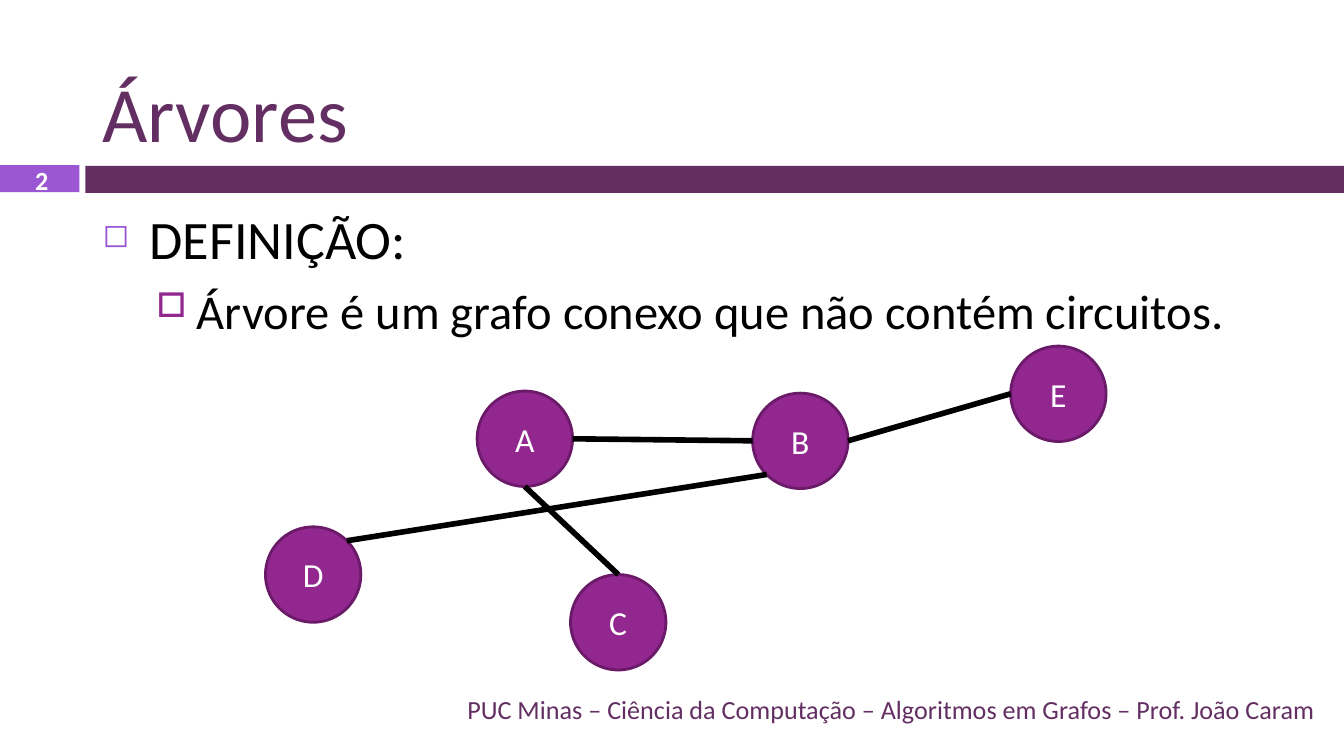
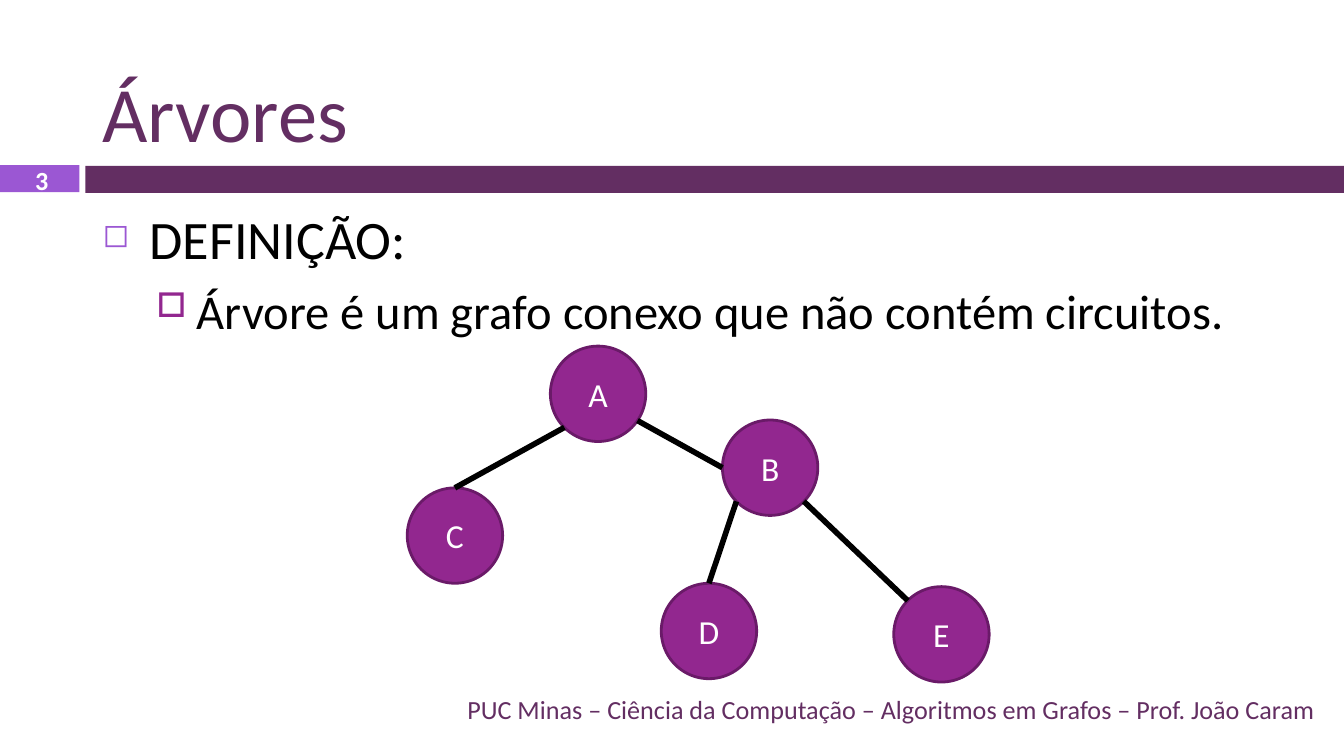
"""Build two slides that define trees in graph theory, each with an example."""
from dataclasses import dataclass
from enum import Enum
from math import cos, pi, sin

import lxml.etree
import pptx
import pptx.dml.color
import pptx.enum.shapes
import pptx.enum.text
import pptx.oxml.ns
import pptx.util

Align = pptx.enum.text.PP_ALIGN
Anchor = pptx.enum.text.MSO_ANCHOR
Preset = pptx.enum.shapes.MSO_SHAPE
qualified = pptx.oxml.ns.qn


@dataclass(frozen=True)
class Theme:
    """Colours, font and sizes in points."""
    font: str = "Calibri"
    plum: str = "632E62"
    violet: str = "9B57D3"
    purple: str = "92278F"
    outline: str = "6A1A68"
    black: str = "000000"
    white: str = "FFFFFF"
    title: float = 42
    heading: float = 29
    statement: float = 26
    node: float = 18
    small: float = 14
    node_line: float = 1.5
    edge_line: float = 3


@dataclass(frozen=True)
class Area:
    """A rectangle on a grid with one hundred columns and square cells."""
    column: float
    row: float
    columns: float
    rows: float


@dataclass(frozen=True)
class Style:
    """The look of one paragraph."""
    size: float
    colour: str
    align: Align = Align.LEFT
    bold: bool = False


@dataclass(frozen=True)
class Bullet:
    """A bullet with its size in percent and its indents in columns."""
    symbol: str
    colour: str
    percent: int
    left: float
    hanging: float
    space_before: float = 0


class Site(Enum):
    """Places on a circle, in eighths of a turn anticlockwise from the top."""
    TOP = 0
    TOP_LEFT = 1
    LEFT = 2
    BOTTOM_LEFT = 3
    BOTTOM = 4
    BOTTOM_RIGHT = 5
    LOWER_RIGHT = 5.24
    RIGHT = 6
    TOP_RIGHT = 7


@dataclass(frozen=True)
class Node:
    """A labelled circle."""
    label: str
    column: float
    row: float


@dataclass(frozen=True)
class Edge:
    """A line between sites of two nodes."""
    start: str
    start_site: Site
    end: str
    end_site: Site


@dataclass(frozen=True)
class Graph:
    """The nodes and edges of one slide."""
    nodes: tuple
    edges: tuple


THEME = Theme()
WIDTH = pptx.util.Inches(10)
HEIGHT = WIDTH * 9 // 16
DIAMETER = 7.1
FIRST_NUMBER = 2

NUMBER_BAND = Area(0, 12.3, 5.9, 2)
TITLE_BAND = Area(6.35, 12.35, 93.65, 2)
TITLE_AREA = Area(6.65, 1.25, 92.2, 11)
BODY_AREA = Area(6.65, 14.8, 92.2, 35.8)
NUMBER_AREA = Area(0.2, 12.4, 5.8, 2)
FOOTER_AREA = Area(6.65, 51.25, 92.2, 3)

TITLE = "Árvores"
FOOTER = "PUC Minas – Ciência da Computação – Algoritmos em Grafos – Prof. João Caram"
DEFINITION = (
    ("DEFINIÇÃO:", Style(THEME.heading, THEME.black),
     Bullet("◻", THEME.violet, 60, 3.5, 3.5)),
    ("Árvore é um grafo conexo que não contém circuitos.",
     Style(THEME.statement, THEME.black),
     Bullet("□", THEME.purple, 70, 7, 3, 5.5)),
)

GRAPHS = (
    Graph(
        (Node("A", 35.5, 29.1), Node("D", 19.75, 39.2), Node("C", 42.45, 42.75),
         Node("B", 56, 29.25), Node("E", 75.2, 25.75)),
        (Edge("A", Site.RIGHT, "B", Site.LEFT),
         Edge("D", Site.TOP_RIGHT, "B", Site.BOTTOM_LEFT),
         Edge("B", Site.RIGHT, "E", Site.LEFT),
         Edge("A", Site.BOTTOM, "C", Site.TOP)),
    ),
    Graph(
        (Node("A", 40.95, 25.75), Node("D", 49.2, 43.4), Node("C", 30.3, 36.3),
         Node("B", 53.75, 31.25), Node("E", 66.5, 43.65)),
        (Edge("A", Site.LOWER_RIGHT, "B", Site.LEFT),
         Edge("D", Site.TOP, "B", Site.BOTTOM_LEFT),
         Edge("B", Site.BOTTOM_RIGHT, "E", Site.TOP_LEFT),
         Edge("A", Site.BOTTOM_LEFT, "C", Site.TOP)),
    ),
)


def cells(count: float) -> int:
    """Turn grid cells into a length."""
    return round(WIDTH * count / 100)


def box_of(area: Area) -> tuple:
    """Turn an area into left, top, width and height."""
    return tuple(map(cells, (area.column, area.row, area.columns, area.rows)))


def rgb(colour: str) -> pptx.dml.color.RGBColor:
    """Read a colour."""
    return pptx.dml.color.RGBColor.from_string(colour)


def style_paragraph(para, text: str, style: Style) -> None:
    """Write text into a paragraph and style it."""
    para.text = text
    para.alignment = style.align
    para.font.name = THEME.font
    para.font.size = pptx.util.Pt(style.size)
    para.font.bold = style.bold
    para.font.color.rgb = rgb(style.colour)


def add_bullet(para, bullet: Bullet) -> None:
    """Give a paragraph its bullet and indents."""
    properties = para._p.get_or_add_pPr()
    properties.set("marL", str(cells(bullet.left)))
    properties.set("indent", str(-cells(bullet.hanging)))
    colour = lxml.etree.SubElement(properties, qualified("a:buClr"))
    lxml.etree.SubElement(colour, qualified("a:srgbClr"), val=bullet.colour)
    lxml.etree.SubElement(properties, qualified("a:buSzPct"), val=str(bullet.percent * 1000))
    lxml.etree.SubElement(properties, qualified("a:buChar"), char=bullet.symbol)
    if bullet.space_before:
        para.space_before = pptx.util.Pt(bullet.space_before)


def add_text_frame(page, area: Area, anchor: Anchor):
    """Add a wrapping text box and return its frame."""
    frame = page.shapes.add_textbox(*box_of(area)).text_frame
    frame.word_wrap = True
    frame.vertical_anchor = anchor
    return frame


def add_line(page, area: Area, text: str, style: Style, anchor: Anchor) -> None:
    """Add a text box with one paragraph."""
    style_paragraph(add_text_frame(page, area, anchor).paragraphs[0], text, style)


def add_definition(page) -> None:
    """Add the bulleted definition."""
    frame = add_text_frame(page, BODY_AREA, Anchor.TOP)
    for index, (text, style, bullet) in enumerate(DEFINITION):
        para = frame.add_paragraph() if index else frame.paragraphs[0]
        para.level = index
        add_bullet(para, bullet)
        style_paragraph(para, text, style)


def add_filled(page, preset: Preset, area: Area, colour: str):
    """Add a plain filled shape without a line."""
    shape = page.shapes.add_shape(preset, *box_of(area))
    shape.shadow.inherit = False
    shape.fill.solid()
    shape.fill.fore_color.rgb = rgb(colour)
    shape.line.fill.background()
    return shape


def add_node(page, node: Node):
    """Add a labelled circle."""
    area = Area(node.column, node.row, DIAMETER, DIAMETER)
    circle = add_filled(page, Preset.OVAL, area, THEME.purple)
    circle.line.color.rgb = rgb(THEME.outline)
    circle.line.width = pptx.util.Pt(THEME.node_line)
    circle.text_frame.vertical_anchor = Anchor.MIDDLE
    style_paragraph(circle.text_frame.paragraphs[0], node.label,
                    Style(THEME.node, THEME.white, Align.CENTER))
    return circle


def site_point(circle, site: Site) -> tuple:
    """Find a site on the rim of a circle."""
    angle = pi / 2 + site.value * pi / 4
    radius = circle.width / 2
    return (round(circle.left + radius * (1 + cos(angle))),
            round(circle.top + radius * (1 - sin(angle))))


def add_edge(page, circles: dict, edge: Edge) -> None:
    """Draw an edge and join it to its circles."""
    ends = ((circles[edge.start], edge.start_site, "a:stCxn"),
            (circles[edge.end], edge.end_site, "a:endCxn"))
    start, end = (site_point(circle, site) for circle, site, _ in ends)
    line = page.shapes.add_connector(pptx.enum.shapes.MSO_CONNECTOR.STRAIGHT, *start, *end)
    line.line.color.rgb = rgb(THEME.black)
    line.line.width = pptx.util.Pt(THEME.edge_line)
    lxml.etree.SubElement(line._element.spPr, qualified("a:effectLst"))
    joints = line._element.nvCxnSpPr.cNvCxnSpPr
    for circle, site, tag in ends:
        if isinstance(site.value, int):
            lxml.etree.SubElement(joints, qualified(tag),
                                  id=str(circle.shape_id), idx=str(site.value))


def add_frame(page, number: int) -> None:
    """Add the bands, title, definition, slide number and footer."""
    add_filled(page, Preset.RECTANGLE, TITLE_BAND, THEME.plum)
    add_filled(page, Preset.RECTANGLE, NUMBER_BAND, THEME.violet)
    add_line(page, TITLE_AREA, TITLE, Style(THEME.title, THEME.plum), Anchor.BOTTOM)
    add_definition(page)
    add_line(page, NUMBER_AREA, str(number),
             Style(THEME.small, THEME.white, Align.CENTER, True), Anchor.MIDDLE)
    add_line(page, FOOTER_AREA, FOOTER,
             Style(THEME.small, THEME.plum, Align.RIGHT), Anchor.MIDDLE)


def main() -> None:
    """Build and save the deck."""
    deck = pptx.Presentation()
    deck.slide_width, deck.slide_height = WIDTH, HEIGHT
    for number, graph in enumerate(GRAPHS, FIRST_NUMBER):
        page = deck.slides.add_slide(deck.slide_layouts[6])
        add_frame(page, number)
        circles = {node.label: add_node(page, node) for node in graph.nodes}
        for edge in graph.edges:
            add_edge(page, circles, edge)
    deck.save("out.pptx")


if __name__ == "__main__":
    main()
